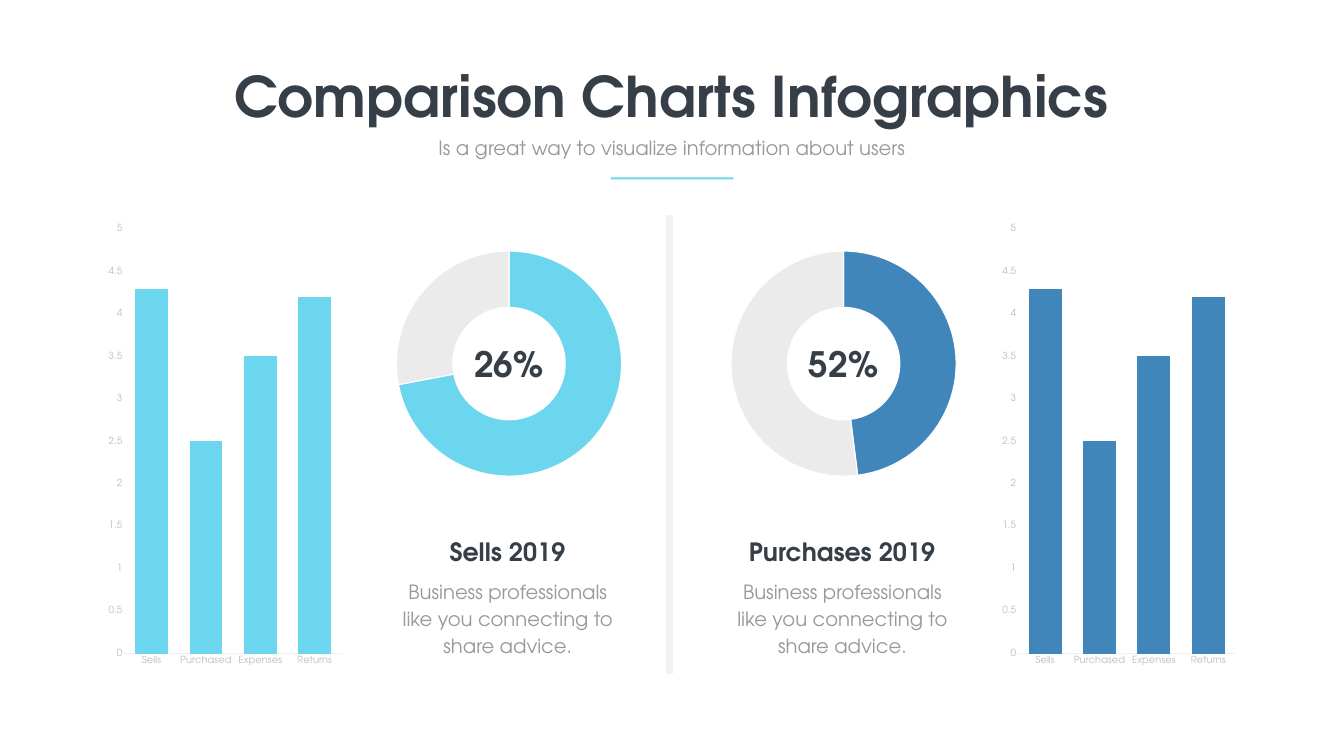
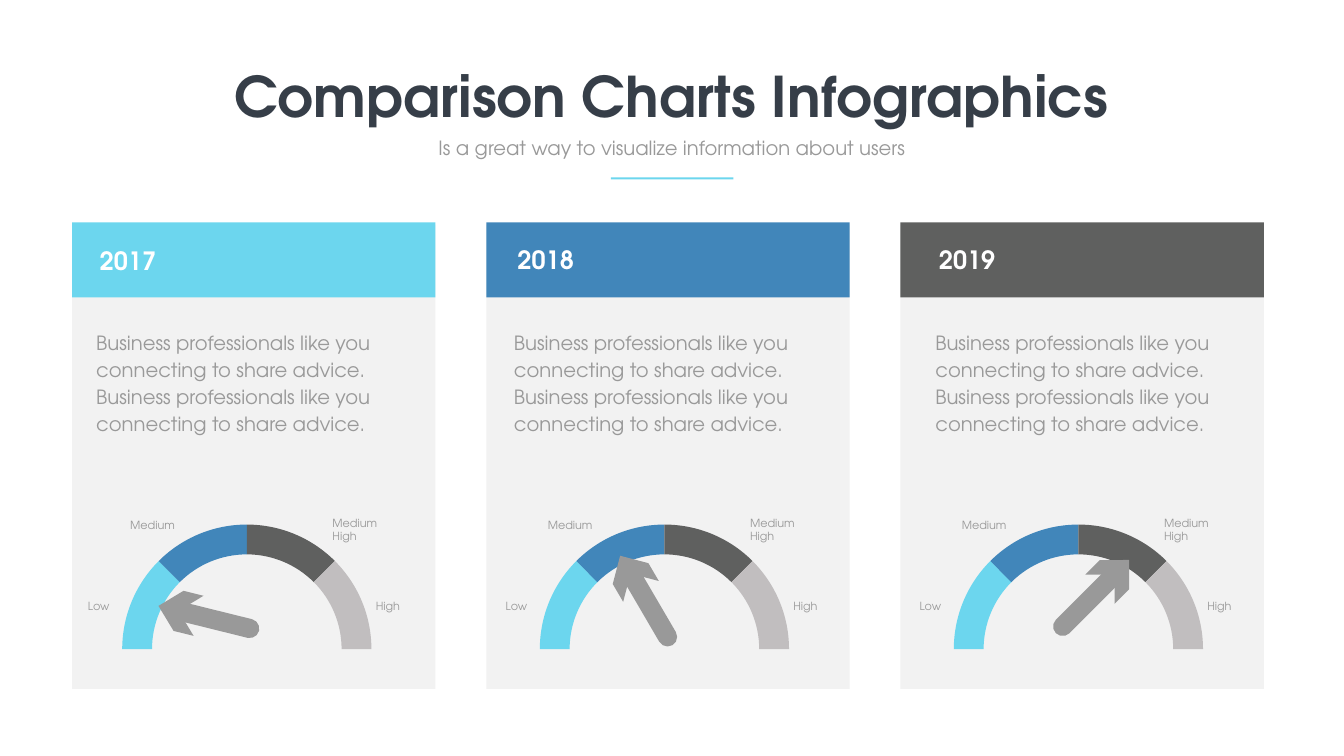
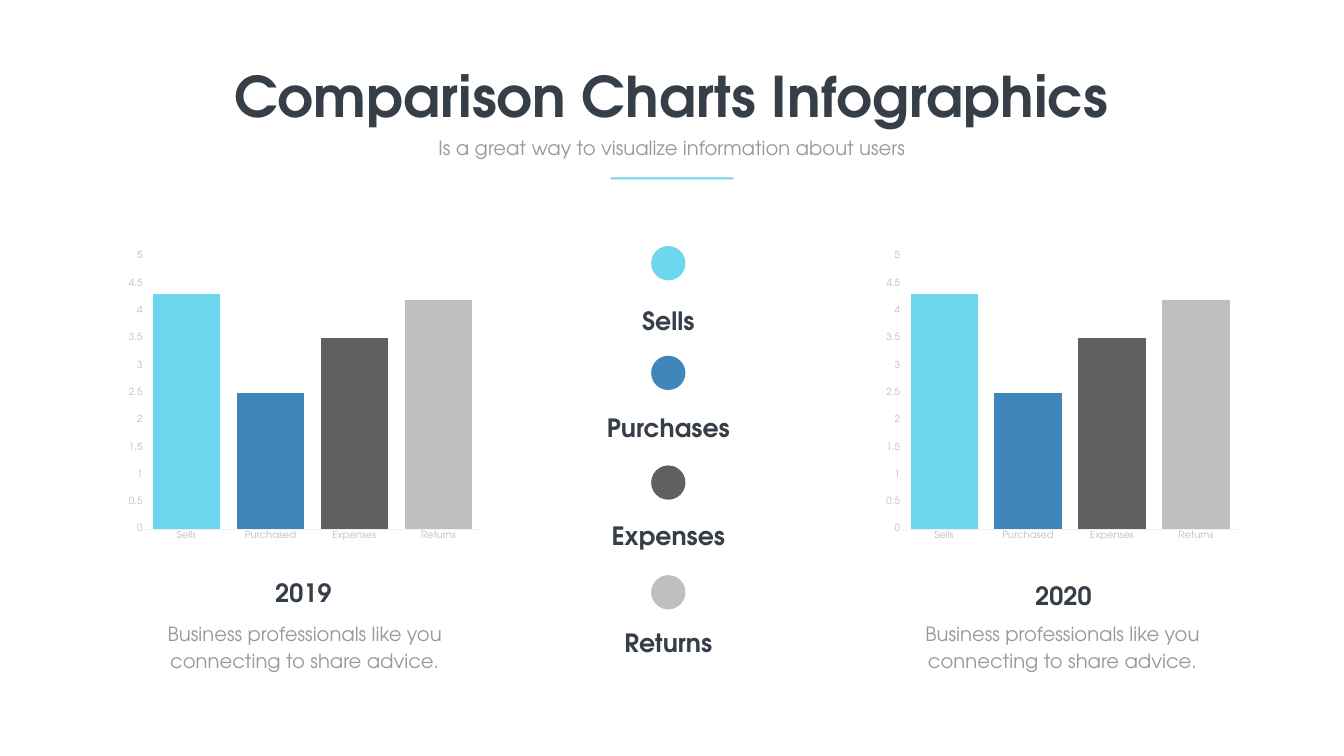
"""Build three comparison-chart slides."""
from dataclasses import dataclass
from math import cos, radians, sin, tan

from lxml.etree import SubElement
from pptx import Presentation
from pptx.chart.data import CategoryChartData
from pptx.dml.color import RGBColor
from pptx.enum.chart import XL_CHART_TYPE as ChartType, XL_TICK_MARK as TickMark
from pptx.enum.shapes import MSO_CONNECTOR as Connector, MSO_SHAPE as Preset
from pptx.enum.text import MSO_AUTO_SIZE as AutoSize, PP_ALIGN as Align
from pptx.oxml import parse_xml
from pptx.oxml.ns import nsdecls, qn
from pptx.util import Pt


@dataclass(frozen=True)
class Theme:
    """Colours, font and type sizes of the deck."""
    font: str = "TeX Gyre Adventor"
    cyan: str = "6CD6EE"
    blue: str = "4186BA"
    charcoal: str = "5F605F"
    silver: str = "C1BEBF"
    ink: str = "363E48"
    grey: str = "999999"
    axis_text: str = "BDBDBD"
    axis_line: str = "F0F0F0"
    remainder: str = "EBEBEB"
    panel: str = "F2F2F2"
    white: str = "FFFFFF"
    title: float = 80
    percent: float = 50
    heading: float = 36
    body: float = 28
    label: float = 16
    axis: float = 14
    leading: float = 38.6


THEME = Theme()
PALETTE = (THEME.cyan, THEME.blue, THEME.charcoal, THEME.silver)
CATEGORIES = ("Sells", "Purchased", "Expenses", "Returns")
AMOUNTS = (4.3, 2.5, 3.5, 4.2)
ADVICE = "Business professionals like you connecting to share advice."


def rgb(code):
    """Turn a hex code into a colour."""
    return RGBColor.from_string(code)


def points(*lengths):
    """Turn numbers into point lengths."""
    return [Pt(length) for length in lengths]


def paint(target, color):
    """Give a shape or chart part a solid fill."""
    target.fill.solid()
    target.fill.fore_color.rgb = rgb(color)


def set_font(font, size, color, bold=False):
    """Set the deck font with a size and colour."""
    font.name, font.size, font.bold = THEME.font, Pt(size), bold
    font.color.rgb = rgb(color)


def add_text(slide, area, *lines, size=THEME.body, color=THEME.grey, bold=False,
             align=Align.CENTER, wrap=True, leading=None):
    """Add a text box with one paragraph per line."""
    box = slide.shapes.add_textbox(*points(*area))
    frame = box.text_frame
    frame.word_wrap, frame.auto_size = wrap, AutoSize.SHAPE_TO_FIT_TEXT
    for index, line in enumerate(lines):
        paragraph = frame.add_paragraph() if index else frame.paragraphs[0]
        paragraph.alignment = align
        if leading:
            paragraph.line_spacing = Pt(leading)
        run = paragraph.add_run()
        run.text = line
        set_font(run.font, size, color, bold)


def add_heading(slide, area, text, color=THEME.ink, align=Align.CENTER):
    """Add a bold heading."""
    add_text(slide, area, text, size=THEME.heading, color=color, bold=True, align=align)


def add_body(slide, area, text, align=Align.CENTER):
    """Add a running text with fixed leading."""
    add_text(slide, area, text, align=align, leading=THEME.leading)


def finish(shape, color):
    """Make a shape flat, filled and without outline."""
    shape.shadow.inherit = False
    paint(shape, color)
    shape.line.fill.background()
    return shape


def add_block(shapes, preset, area, color, rotation=0):
    """Add a plain preset shape."""
    block = finish(shapes.add_shape(preset, *points(*area)), color)
    block.rotation = rotation
    return block


def add_divider(slide, x, top, bottom):
    """Add the thick vertical line between the two halves."""
    divider = slide.shapes.add_connector(Connector.STRAIGHT, *points(x, top, x, bottom))
    divider.line.color.rgb = rgb(THEME.panel)
    divider.line.width = Pt(10)
    SubElement(divider._element.spPr, qn("a:effectLst"))


def add_chart(slide, kind, area, categories, values, colors):
    """Add a one-series chart with one colour per point."""
    data = CategoryChartData()
    data.categories = categories
    data.add_series("Series 1", values)
    chart = slide.shapes.add_chart(kind, *points(*area), data).chart
    chart.has_legend = chart.has_title = False
    set_font(chart.font, THEME.axis, THEME.grey)
    plot = chart.plots[0]
    plot.vary_by_categories = False
    for index, color in enumerate(colors):
        paint(plot.series[0].points[index].format, color)
    return chart


def add_columns(slide, area, colors, gap, overlap):
    """Add a column chart with bare axes."""
    chart = add_chart(slide, ChartType.COLUMN_CLUSTERED, area, CATEGORIES, AMOUNTS, colors)
    chart.plots[0].gap_width, chart.plots[0].overlap = gap, overlap
    paint(chart.plots[0].series[0].format, colors[0])
    amounts, names = chart.value_axis, chart.category_axis
    for axis in (amounts, names):
        axis.has_major_gridlines = False
        axis.major_tick_mark = axis.minor_tick_mark = TickMark.NONE
        set_font(axis.tick_labels.font, THEME.axis, THEME.axis_text)
    names.format.line.color.rgb = rgb(THEME.axis_line)
    names.format.line.width = Pt(0.75)
    amounts.format.line.fill.background()
    amounts.minimum_scale, amounts.maximum_scale, amounts.major_unit = 0, 5, 0.5
    amounts.tick_labels.number_format = "General"
    amounts.tick_labels.number_format_is_linked = False


def add_doughnut(slide, left, share, color, caption):
    """Add a doughnut with a percentage in its centre."""
    chart = add_chart(slide, ChartType.DOUGHNUT, (left, 348.5, 512.6, 342), ("1", "2"),
                      (share, 100 - share), (color, THEME.remainder))
    chart.font.name, chart.font.size = "Calibri", Pt(10)
    for index in range(2):
        edge = chart.plots[0].series[0].points[index].format.line
        edge.color.rgb, edge.width = rgb(THEME.white), Pt(1.5)
    plot_area = chart._chartSpace.chart.plotArea
    plot_area.find(".//" + qn("c:holeSize")).set("val", "75")
    for layout in plot_area.findall(qn("c:layout")):
        plot_area.remove(layout)
    frame = {"x": 0.18, "y": 0.03, "w": 0.64, "h": 0.94}
    modes = '<c:xMode val="edge"/><c:yMode val="edge"/>'
    sizes = "".join(f'<c:{side} val="{part}"/>' for side, part in frame.items())
    plot_area.insert(0, parse_xml(
        f'<c:layout {nsdecls("c")}><c:manualLayout><c:layoutTarget val="inner"/>'
        f'{modes}{sizes}</c:manualLayout></c:layout>'))
    add_text(slide, (left + 199, 485.3, 114.5, 67.7), caption, size=THEME.percent,
             color=THEME.ink, bold=True, wrap=False)


def bend(band, segment, curve):
    """Turn a straight segment of a band into a cubic curve."""
    cubic = parse_xml(f'<a:cubicBezTo {nsdecls("a")}/>')
    for x, y in curve:
        SubElement(cubic, qn("a:pt"), x=str(x - band.left), y=str(y - band.top))
    segment.getparent().replace(segment, cubic)


def add_gauge_band(shapes, center, start, color):
    """Add a 45 degree band of a gauge, starting at an angle."""
    def arc(radius, begin, end):
        pull = 4 / 3 * tan(radians(end - begin) / 4)
        stops = ((begin, 0), (begin, pull), (end, -pull), (end, 0))
        return [points(
            center[0] - radius * (cos(radians(angle)) - along * sin(radians(angle))),
            center[1] - radius * (sin(radians(angle)) + along * cos(radians(angle))))
            for angle, along in stops]

    outer, inner = arc(178, start, start + 45), arc(135.4, start + 45, start)
    outline = shapes.build_freeform(*outer[0])
    outline.add_line_segments((outer[-1], inner[0], inner[-1]), close=True)
    band = finish(outline.convert_to_shape(), color)
    segments = list(band._element.iter(qn("a:lnTo")))
    bend(band, segments[0], outer[1:])
    bend(band, segments[2], inner[1:])


def add_pointer(shapes, x, y, angle):
    """Add a gauge pointer, its shaft centred on a point."""
    shaft, head, reach = (27.4, 126), 59, 55.5
    rod = add_block(shapes, Preset.ROUNDED_RECTANGLE,
                    (x - shaft[0] / 2, y - shaft[1] / 2, *shaft), THEME.grey, angle)
    rod.adjustments[0] = 0.5
    tip_x, tip_y = x + reach * sin(radians(angle)), y - reach * cos(radians(angle))
    add_block(shapes, Preset.CHEVRON, (tip_x - head / 2, tip_y - head / 2, head, head),
              THEME.grey, (angle - 90) % 360)


def add_gauge(slide, x, pointer):
    """Add a four-band gauge with labels and a pointer."""
    y = 927.4
    bands = slide.shapes.add_group_shape().shapes
    for index, color in enumerate(PALETTE):
        add_gauge_band(bands, (x, y), 45 * index, color)
    offset_x, offset_y, angle = pointer
    add_pointer(slide.shapes.add_group_shape().shapes, x + offset_x, y + offset_y, angle)
    labels = ((-234, 852.5, 95, Align.LEFT, ("Low",)),
              (-195.2, 736.6, 121, Align.CENTER, ("Medium",)),
              (115.2, 733.7, 136.8, Align.LEFT, ("Medium", "High")),
              (177.1, 852.5, 95, Align.LEFT, ("High",)))
    for left, top, width, align, lines in labels:
        add_text(slide, (x + left, top, width, 26.6), *lines, size=THEME.label, align=align)


def add_card(slide, left, color, year, text_left, text_top, gauge_x, pointer):
    """Add a year card with text and a gauge."""
    add_block(slide.shapes, Preset.RECTANGLE, (left, 321.1, 519, 663), THEME.panel)
    add_block(slide.shapes, Preset.RECTANGLE, (left, 317.5, 519, 107.3), color)
    add_heading(slide, (text_left, text_top, 336, 51), year, THEME.white, Align.LEFT)
    add_body(slide, (text_left - 5, 463.7, 455.8, 161.6), f"{ADVICE} {ADVICE}", Align.LEFT)
    add_gauge(slide, gauge_x, pointer)


def add_slide(deck):
    """Add a blank slide with the shared title block."""
    slide = deck.slides.add_slide(deck.slide_layouts[6])
    add_text(slide, (321.8, 84.2, 1275, 104.4), "Comparison Charts Infographics",
             size=THEME.title, color=THEME.ink, bold=True, wrap=False)
    add_text(slide, (615.6, 190.8, 688.3, 41),
             "Is a great way to visualize information about users")
    add_block(slide.shapes, Preset.RECTANGLE, (872.6, 253.4, 175, 3), THEME.cyan)
    return slide


def build_halves(deck):
    """Build the slide that compares sells with purchases."""
    slide = add_slide(deck)
    add_divider(slide, 956.2, 307.4, 963.4)
    halves = (("Sells 2019", 72, "26%", THEME.cyan, 148.3),
              ("Purchases 2019", 48, "52%", THEME.blue, 1424.9))
    for index, (heading, share, caption, color, columns_left) in enumerate(halves):
        shift = 478 * index
        add_doughnut(slide, 470.9 + shift, share, color, caption)
        add_heading(slide, (566.6 + shift, 763.2, 316.8, 51), heading)
        add_body(slide, (563 + shift, 819.4, 324.7, 123.8), ADVICE)
        add_columns(slide, (columns_left, 307.4, 347, 656), [color] * 4, 65, -42)


def build_cards(deck):
    """Build the slide with a gauge card per year."""
    slide = add_slide(deck)
    cards = (("2017", 135.4, 347, 352.6, (-43.7, -41.4, 283.9)),
             ("2018", 732.2, 344.9, 949.2, (-20.4, -60.1, 329.7)),
             ("2019", 1334.2, 344.9, 1540.6, (12.4, -67.3, 45)))
    for index, (year, *placing) in enumerate(cards):
        add_card(slide, 103 + 591.7 * index, PALETTE[index], year, *placing)


def build_years(deck):
    """Build the slide that compares two years around a key."""
    slide = add_slide(deck)
    for index, name in enumerate(("Sells", "Purchases", "Expenses", "Returns")):
        add_block(slide.shapes, Preset.OVAL, (930.2, 351.5 + 156.7 * index, 49, 49),
                  PALETTE[index])
        add_heading(slide, (782.6, 432.7 + 153.4 * index, 344.2, 51), name)
    years = (("2019", 173.5, (261.4, 820.8), (189.4, 491.8)),
             ("2020", 1255.7, (1347.1, 825.1), (1283.8, 468)))
    for year, chart_left, heading_at, (body_left, body_width) in years:
        add_columns(slide, (chart_left, 350.6, 523.4, 430.6), PALETTE, 25, -14)
        add_heading(slide, (*heading_at, 344.2, 51), year)
        add_body(slide, (body_left, 879.8, body_width, 82.8), ADVICE)


def main():
    """Build and save the deck."""
    deck = Presentation()
    deck.slide_width, deck.slide_height = points(1920, 1080)
    build_halves(deck)
    build_cards(deck)
    build_years(deck)
    deck.save("out.pptx")


if __name__ == "__main__":
    main()
